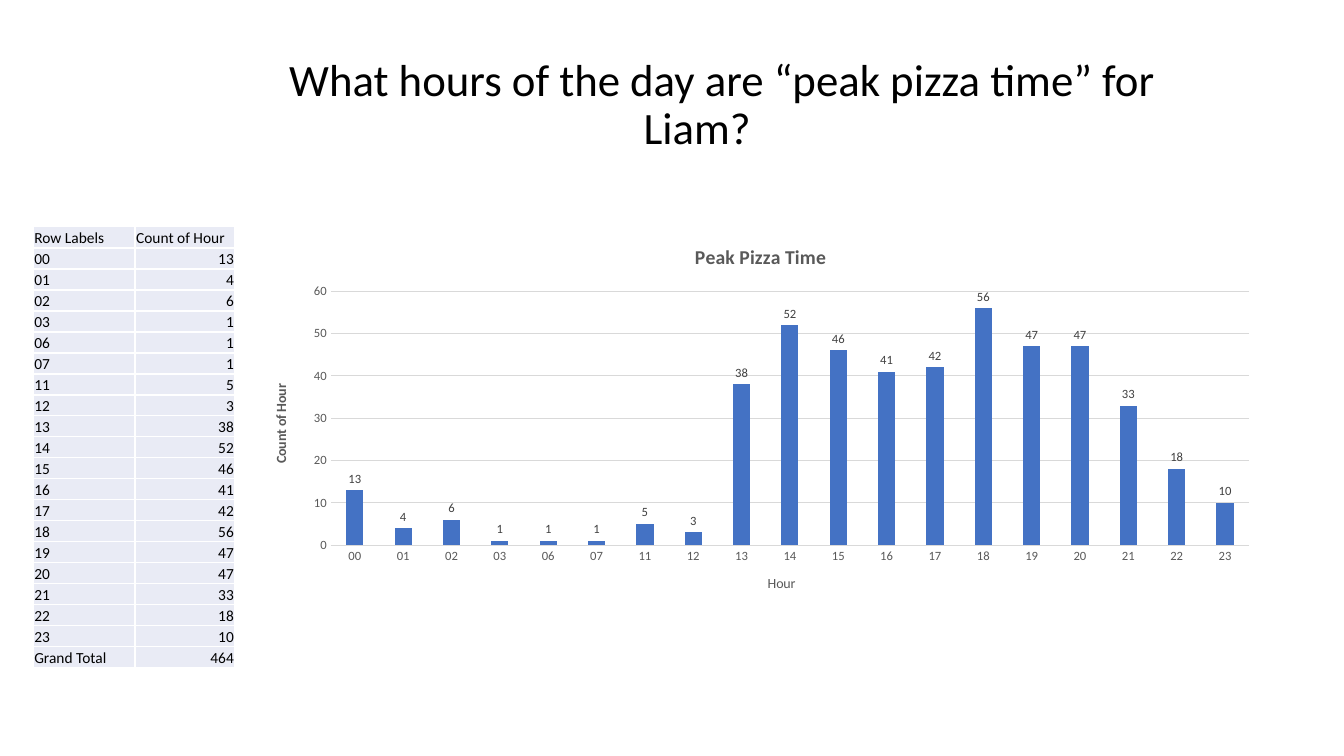
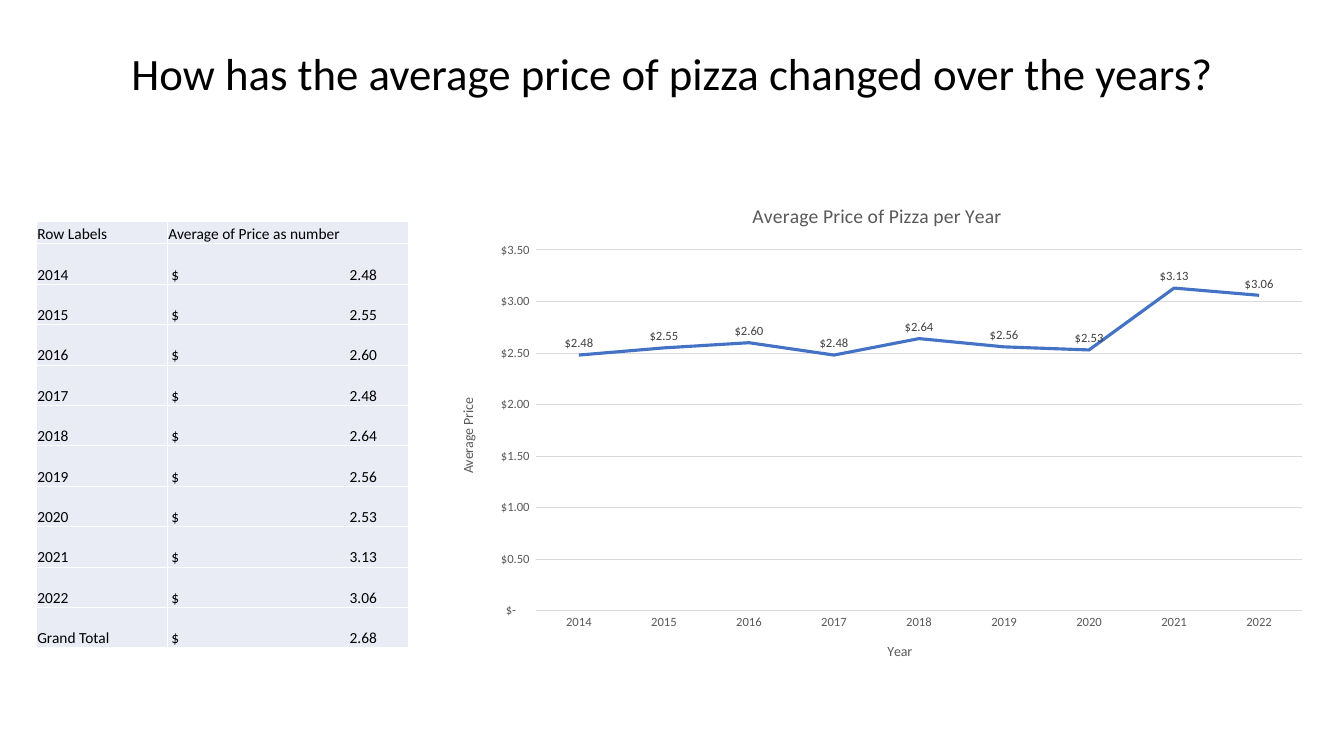
from dataclasses import dataclass

from lxml import etree
from pptx import Presentation
from pptx.chart.data import CategoryChartData
from pptx.dml.color import RGBColor
from pptx.enum.chart import XL_CHART_TYPE as ChartType
from pptx.enum.chart import XL_LABEL_POSITION as LabelPos
from pptx.enum.chart import XL_TICK_MARK as TickMark
from pptx.enum.text import MSO_ANCHOR as Anchor
from pptx.enum.text import MSO_AUTO_SIZE as AutoSize
from pptx.enum.text import PP_ALIGN as Align
from pptx.oxml import parse_xml
from pptx.oxml.ns import nsdecls, qn
from pptx.util import Pt

PX = 9144
DOLLARS = r'_("$"* #,##0.00_);_("$"* \(#,##0.00\);_("$"* "-"??_);_(@_)'


@dataclass(frozen=True)
class Theme:
    """Fonts, colours and type sizes of the deck."""
    font: str = "Calibri"
    ink: str = "000000"
    muted: str = "595959"
    label: str = "404040"
    rule: str = "D9D9D9"
    accent: str = "4472C4"
    cell: str = "E9EBF5"
    border: str = "FFFFFF"
    title_pt: int = 32
    table_pt: int = 11
    chart_title_pt: int = 14
    axis_title_pt: int = 10
    tick_pt: int = 9


THEME = Theme()


def emu(box):
    """Turn a box in px into EMU."""
    return [v * PX for v in box]


def style(font, size, color, bold=False):
    """Set face, size, colour and weight of a font."""
    font.name, font.size, font.bold = THEME.font, Pt(size), bold
    font.color.rgb = RGBColor.from_string(color)


def paint_line(line, color, width):
    """Give a line a solid colour and a width in points."""
    line.color.rgb = RGBColor.from_string(color)
    line.width = Pt(width)


def add_title(slide, box, text, indent=0):
    """Place the title, with an optional left margin and first-line indent."""
    sp = slide.shapes.title
    sp.left, sp.top, sp.width, sp.height = emu(box)
    tf = sp.text_frame
    tf.text = text
    tf.word_wrap, tf.auto_size = True, AutoSize.NONE
    tf.vertical_anchor = Anchor.MIDDLE
    p = tf.paragraphs[0]
    p.alignment, p.line_spacing = Align.CENTER, 0.9
    style(p.font, THEME.title_pt, THEME.ink)
    if indent:
        pPr = p._p.get_or_add_pPr()
        pPr.set("marL", str(indent * PX))
        pPr.set("indent", str(indent * PX))


def add_borders(cell):
    """Draw a thin border on the four sides of a cell."""
    tcPr = cell._tc.get_or_add_tcPr()
    for side in ("lnL", "lnR", "lnT", "lnB"):
        tcPr.append(parse_xml(
            f'<a:{side} {nsdecls("a")} w="{Pt(1)}"><a:solidFill>'
            f'<a:srgbClr val="{THEME.border}"/></a:solidFill></a:{side}>'))


def fill_cell(cell, text):
    """Write a cell and give it the table's fill, border and margins."""
    add_borders(cell)
    cell.fill.solid()
    cell.fill.fore_color.rgb = RGBColor.from_string(THEME.cell)
    cell.margin_left = cell.margin_right = cell.margin_top = PX
    cell.margin_bottom = 0
    cell.vertical_anchor = Anchor.BOTTOM
    cell.text = text
    p = cell.text_frame.paragraphs[0]
    style(p.font, THEME.table_pt, THEME.ink)
    return p


def align_price(cell, p):
    """Set the dollar sign at the left and the amount on a right tab."""
    cell.margin_left = 4 * PX
    tabs = etree.SubElement(p._p.get_or_add_pPr(), qn("a:tabLst"))
    etree.SubElement(tabs, qn("a:tab"), pos=str(204 * PX), algn="r")


def add_pivot(slide, box, first_col, header_height, rows, price=False):
    """Place a two-column table with a header row and equal rows below it."""
    x, y, w, h = box
    table = slide.shapes.add_table(len(rows), 2, *emu(box)).table
    table.first_row = table.horz_banding = False
    table.columns[0].width = first_col * PX
    table.columns[1].width = (w - first_col) * PX
    row_height = (h - header_height) * PX // (len(rows) - 1)
    for i, (name, value) in enumerate(rows):
        table.rows[i].height = row_height if i else header_height * PX
        fill_cell(table.cell(i, 0), name)
        cell = table.cell(i, 1)
        p = fill_cell(cell, value)
        if i and price:
            align_price(cell, p)
        elif i:
            p.alignment = Align.RIGHT


def set_title(owner, text, size, bold):
    """Write the title of a chart or of an axis."""
    tf = owner.text_frame
    tf.text = text
    style(tf.paragraphs[0].font, size, THEME.muted, bold)


def set_plot_area(chart, box, plot_box):
    """Fix the inner plot area, given in px on the slide."""
    x, y, w, h = box
    px, py, pw, ph = plot_box
    parts = {"x": (px - x) / w, "y": (py - y) / h, "w": pw / w, "h": ph / h}
    area = chart._chartSpace.chart.plotArea
    for old in area.findall(qn("c:layout")):
        area.remove(old)
    sizes = "".join(f'<c:{k} val="{v:.4f}"/>' for k, v in parts.items())
    area.insert(0, parse_xml(
        f'<c:layout {nsdecls("c")}><c:manualLayout><c:layoutTarget val="inner"/>'
        f'<c:xMode val="edge"/><c:yMode val="edge"/>{sizes}'
        '</c:manualLayout></c:layout>'))


def style_axes(chart, x_title, y_title, y_bold, top, step, number_format):
    """Set titles, ticks, scale and lines of both axes."""
    cat, val = chart.category_axis, chart.value_axis
    for axis, text, bold in ((cat, x_title, False), (val, y_title, y_bold)):
        axis.major_tick_mark = axis.minor_tick_mark = TickMark.NONE
        style(axis.tick_labels.font, THEME.tick_pt, THEME.muted)
        set_title(axis.axis_title, text, THEME.axis_title_pt, bold)
    val.axis_title._element.xpath(".//a:bodyPr")[0].set("rot", "-5400000")
    paint_line(cat.format.line, THEME.rule, 0.75)
    val.format.line.fill.background()
    val.has_major_gridlines, cat.has_major_gridlines = True, False
    paint_line(val.major_gridlines.format.line, THEME.rule, 0.75)
    val.minimum_scale, val.maximum_scale, val.major_unit = 0, top, step
    val.tick_labels.number_format = number_format
    val.tick_labels.number_format_is_linked = False


def add_chart(slide, kind, box, plot_box, title, bold, cats, vals,
              label_pos, number_format, **axes):
    """Place a one-series chart with titles, axes and value labels."""
    data = CategoryChartData(number_format=number_format)
    data.categories = cats
    data.add_series("Series 1", vals)
    chart = slide.shapes.add_chart(kind, *emu(box), data).chart
    style(chart.font, THEME.axis_title_pt, THEME.ink)
    chart.has_legend = False
    set_title(chart.chart_title, title, THEME.chart_title_pt, bold)
    chart.chart_title.include_in_layout = False
    set_plot_area(chart, box, plot_box)
    style_axes(chart, y_bold=bold, number_format=number_format, **axes)
    plot = chart.plots[0]
    plot.vary_by_categories = False
    plot.has_data_labels = True
    labels = plot.data_labels
    labels.show_value, labels.position = True, label_pos
    labels.number_format, labels.number_format_is_linked = number_format, False
    style(labels.font, THEME.tick_pt, THEME.label)
    return plot


def hours_slide(slide):
    """Build the slide on orders by hour of the day."""
    counts = {"00": 13, "01": 4, "02": 6, "03": 1, "06": 1, "07": 1, "11": 5,
              "12": 3, "13": 38, "14": 52, "15": 46, "16": 41, "17": 42,
              "18": 56, "19": 47, "20": 47, "21": 33, "22": 18, "23": 10}
    add_title(slide, (127, 55, 1079, 100),
              "What hours of the day are “peak pizza time” for Liam?", 50)
    rows = [("Row Labels", "Count of Hour"),
            *((hour, str(n)) for hour, n in counts.items()),
            ("Grand Total", str(sum(counts.values())))]
    add_pivot(slide, (33, 225, 200, 438), 101, 21, rows)
    plot = add_chart(
        slide, ChartType.COLUMN_CLUSTERED, (250, 225, 1009, 383),
        (328, 289, 911, 252), "Peak Pizza Time", True, list(counts),
        list(counts.values()), LabelPos.OUTSIDE_END, "General",
        x_title="Hour", y_title="Count of Hour", top=60, step=10)
    plot.gap_width = 182
    fill = plot.series[0].format.fill
    fill.solid()
    fill.fore_color.rgb = RGBColor.from_string(THEME.accent)


def prices_slide(slide):
    """Build the slide on the average price by year."""
    prices = {"2014": 2.48, "2015": 2.55, "2016": 2.6, "2017": 2.48,
              "2018": 2.64, "2019": 2.56, "2020": 2.53, "2021": 3.13,
              "2022": 3.06}
    add_title(slide, (92, 47, 1150, 57),
              "How has the average price of pizza changed over the years?")
    rows = [("Row Labels", "Average of Price as number"),
            *((name, f"$\t{v:.2f}")
              for name, v in (*prices.items(), ("Grand Total", 2.68)))]
    add_pivot(slide, (36, 220, 369, 423), 130, 22, rows, price=True)
    plot = add_chart(
        slide, ChartType.LINE_STACKED, (432, 182, 876, 493),
        (532, 248, 759, 358), "Average Price of Pizza per Year", False,
        list(prices), list(prices.values()), LabelPos.ABOVE, DOLLARS,
        x_title="Year", y_title="Average Price", top=3.5, step=0.5)
    series = plot.series[0]
    series.smooth = False
    paint_line(series.format.line, THEME.accent, 2.25)


def main():
    """Build and save the deck."""
    prs = Presentation()
    prs.slide_width, prs.slide_height = emu((1333, 750))
    title_only = prs.slide_layouts[5]
    for build in (hours_slide, prices_slide):
        build(prs.slides.add_slide(title_only))
    prs.save("out.pptx")


if __name__ == "__main__":
    main()
